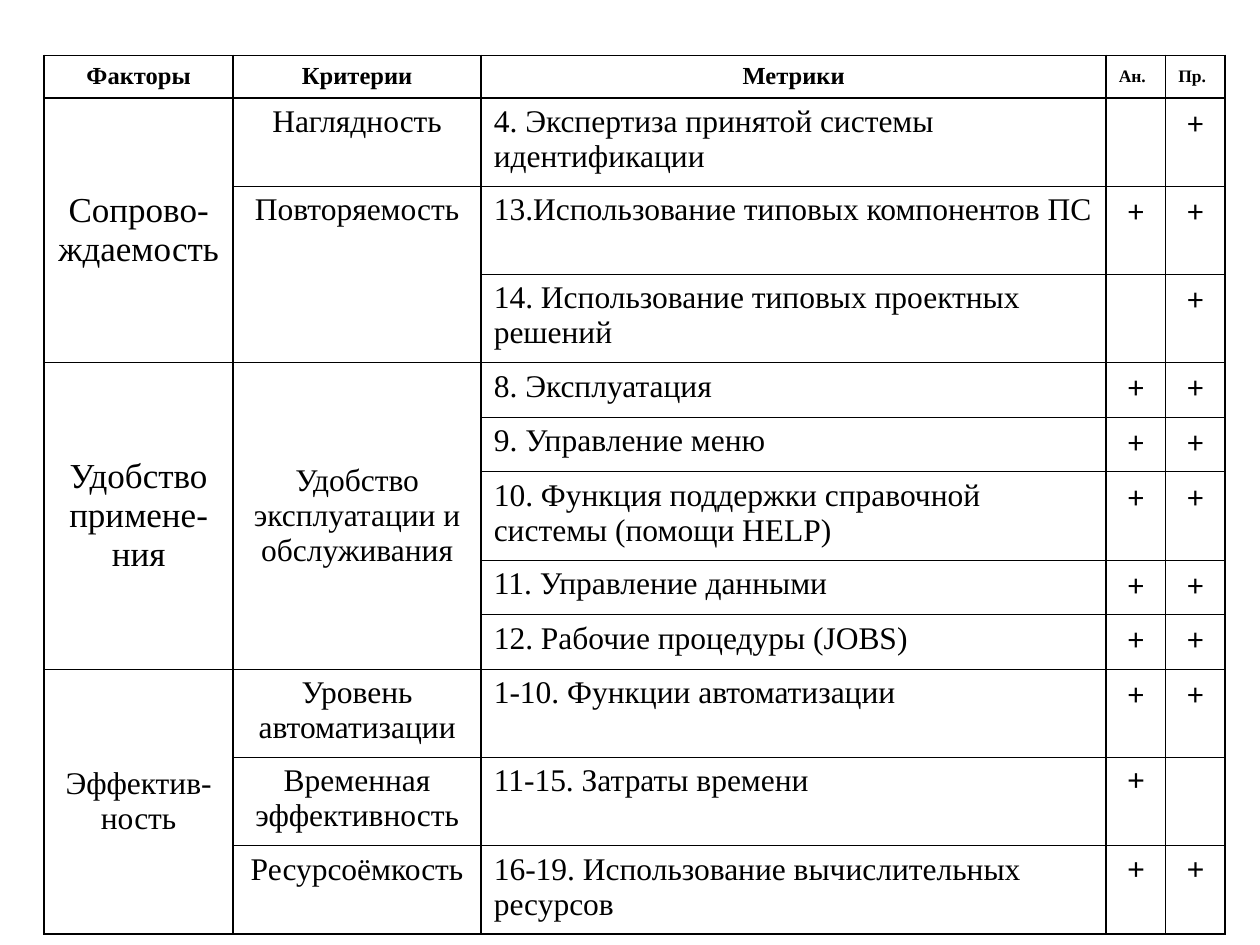
from lxml import etree
from pptx import Presentation
from pptx.dml.color import RGBColor
from pptx.enum.text import MSO_ANCHOR, PP_ALIGN
from pptx.oxml.ns import qn
from pptx.util import Cm, Pt

LEFT, CENTER = PP_ALIGN.LEFT, PP_ALIGN.CENTER
TOP, MIDDLE = MSO_ANCHOR.TOP, MSO_ANCHOR.MIDDLE
SERIF, SANS = "Times New Roman", "Calibri"
BLACK = "000000"
THICK, THIN = 1.08, 0.45
COL_WIDTHS = [3.81, 5, 12.6, 1.2, 1.2]
HEADER_H, LOW_H, HIGH_H = 0.85, 1.1, 1.78

HEADERS = [("Факторы", 14, CENTER), ("Критерии", 14, CENTER), ("Метрики", 14, CENTER),
           ("Ан.", 10, LEFT), ("Пр.", 10, LEFT)]

FACTORS = [
    (1, 3, "Сопрово-ждаемость", 20),
    (4, 5, "Удобство примене-ния", 20),
    (9, 3, "Эффектив-ность", 18),
]

CRITERIA = [
    (1, 1, "Наглядность", TOP),
    (2, 2, "Повторяемость", TOP),
    (4, 5, "Удобство эксплуатации и обслуживания", MIDDLE),
    (9, 1, "Уровень автоматизации", TOP),
    (10, 1, "Временная эффективность", TOP),
    (11, 1, "Ресурсоёмкость", TOP),
]

METRICS = [
    ("4. Экспертиза принятой системы идентификации", "", "+", HIGH_H),
    ("13.Использование типовых компонентов ПС", "+", "+", HIGH_H),
    ("14. Использование типовых проектных решений", "", "+", HIGH_H),
    ("8. Эксплуатация", "+", "+", LOW_H),
    ("9. Управление меню", "+", "+", LOW_H),
    ("10. Функция поддержки справочной системы (помощи HELP)", "+", "+", HIGH_H),
    ("11. Управление данными", "+", "+", LOW_H),
    ("12. Рабочие процедуры (JOBS)", "+", "+", LOW_H),
    ("1-10. Функции автоматизации", "+", "+", HIGH_H),
    ("11-15. Затраты времени", "+", "", HIGH_H),
    ("16-19. Использование вычислительных ресурсов", "+", "+", HIGH_H),
]
FIRST_BOLD_MARK_ROW = 10


def rgb(value):
    return RGBColor.from_string(value)


def write(cell, text, size=18, align=LEFT, anchor=TOP, font=SERIF, bold=False):
    cell.vertical_anchor = anchor
    p = cell.text_frame.paragraphs[0]
    p.alignment = align
    r = p.add_run()
    r.text = text
    r.font.name = font
    r.font.size = Pt(size)
    r.font.bold = bold
    r.font.color.rgb = rgb(BLACK)


def add_border(cell, side, width):
    tc_pr = cell._tc.get_or_add_tcPr()
    ln = etree.SubElement(tc_pr, qn(f"a:ln{side}"), w=str(int(Pt(width))))
    fill = etree.SubElement(ln, qn("a:solidFill"))
    etree.SubElement(fill, qn("a:srgbClr"), val=BLACK)


def style_cells(table):
    last_row = len(table.rows) - 1
    for i in range(len(table.rows)):
        for j in range(len(table.columns)):
            cell = table.cell(i, j)
            add_border(cell, "L", THIN if j == 4 else THICK)
            add_border(cell, "R", THIN if j == 3 else THICK)
            if not cell.is_spanned:
                bottom_row = i + cell.span_height - 1
                add_border(cell, "T", THICK if i <= 1 else THIN)
                add_border(cell, "B", THICK if bottom_row in (0, last_row) else THIN)
            cell.fill.background()


def merge_down(table, row, col, count):
    cell = table.cell(row, col)
    if count > 1:
        cell.merge(table.cell(row + count - 1, col))
    return cell


def add_table(s):
    heights = [HEADER_H] + [metric[-1] for metric in METRICS]
    frame = s.shapes.add_table(len(heights), len(COL_WIDTHS), Cm(0.89), Cm(1.12),
                               Cm(sum(COL_WIDTHS)), Cm(sum(heights)))
    table = frame.table
    table.first_row = False
    table.horz_banding = False
    for column, width in zip(table.columns, COL_WIDTHS):
        column.width = Cm(width)
    for row, height in zip(table.rows, heights):
        row.height = Cm(height)
    return table


def fill_table(table):
    for j, (text, size, align) in enumerate(HEADERS):
        write(table.cell(0, j), text, size, align, MIDDLE, bold=True)
    for row, count, text, size in FACTORS:
        write(merge_down(table, row, 0, count), text, size, CENTER, MIDDLE)
    for row, count, text, anchor in CRITERIA:
        write(merge_down(table, row, 1, count), text, align=CENTER, anchor=anchor)
    for i, (text, *marks, _) in enumerate(METRICS, start=1):
        write(table.cell(i, 2), text)
        bold = i >= FIRST_BOLD_MARK_ROW
        for j, mark in enumerate(marks, start=3):
            if mark:
                write(table.cell(i, j), mark, align=CENTER,
                      font=SERIF if bold else SANS, bold=bold)


def main():
    prs = Presentation()
    prs.slide_width, prs.slide_height = Cm(25.4), Cm(19.05)
    s = prs.slides.add_slide(prs.slide_layouts[6])
    table = add_table(s)
    fill_table(table)
    style_cells(table)
    prs.save("out.pptx")


if __name__ == "__main__":
    main()
